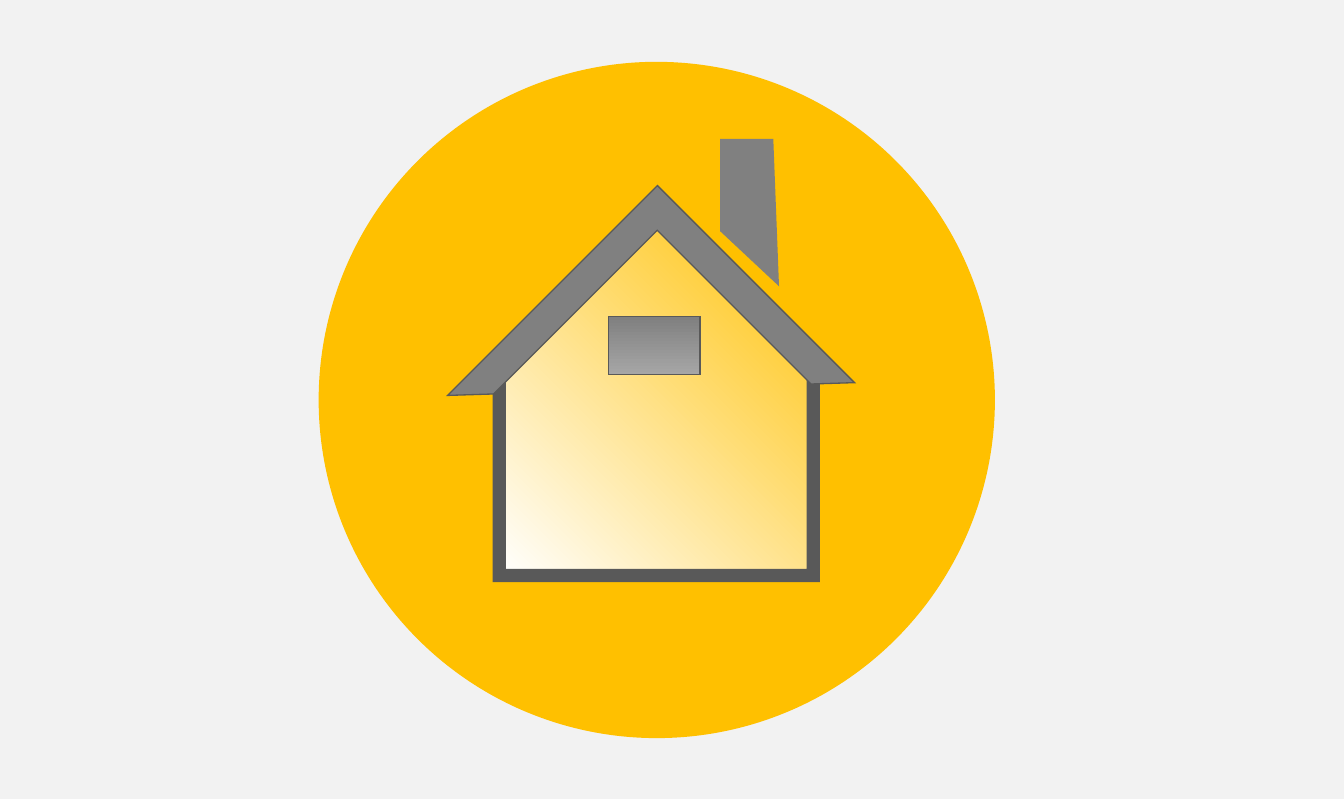
from lxml import etree
from pptx import Presentation
from pptx import util as u
from pptx.dml import color
from pptx.enum import shapes
from pptx.oxml import ns

KIND = shapes.MSO_SHAPE


def rgb(code):
    return color.RGBColor.from_string(code)


def style(shape, fill=None, line=None, width=1):
    shape.shadow.inherit = False
    if fill:
        shape.fill.solid()
        shape.fill.fore_color.rgb = rgb(fill)
    if line:
        shape.line.color.rgb = rgb(line)
        shape.line.width = u.Pt(width)
        edge = shape.line._get_or_add_ln()
        etree.SubElement(edge, ns.qn("a:miter"), lim="800000")
    else:
        shape.line.fill.background()


def blend(shape, start, end, angle=270):
    shape.fill.gradient()
    shape.fill.gradient_angle = angle
    for stop, code in zip(shape.fill.gradient_stops, (start, end)):
        stop.color.rgb = rgb(code)


def glow(shape):
    """Turn a linear gradient into a circular one from the lower left."""
    grad = shape._element.spPr.find(ns.qn("a:gradFill"))
    grad.remove(grad.find(ns.qn("a:lin")))
    ring = etree.SubElement(grad, ns.qn("a:path"))
    ring.set("path", "circle")
    etree.SubElement(ring, ns.qn("a:fillToRect"), t="100000", r="100000")


def add(group, kind, left, top, width, height):
    return group.shapes.add_shape(kind, *map(u.Inches, (left, top, width, height)))


def outline(group, points):
    """Draw a closed shape; the pen keeps whole units, so use EMU."""
    dots = [(u.Inches(x), u.Inches(y)) for x, y in points]
    pen = group.shapes.build_freeform(*dots[0])
    pen.add_line_segments(dots[1:], close=True)
    return pen.convert_to_shape()


def walls(group, left, top, width, height):
    mid, right, base = left + width / 2, left + width, top + height
    eave = top + width / 2
    house = outline(group, [(left, eave), (mid, top), (right, eave),
                            (right, base), (left, base)])
    style(house, line="595959", width=10)
    blend(house, "FFFFFF", "FFC000")
    glow(house)


def chimney(group, left, top, width, height):
    stack = outline(group, [(left, top), (left + 0.56, top),
                            (left + width, top + height), (left, top + 0.97)])
    style(stack, "808080")


def window(group, left, top, width, height):
    pane = add(group, KIND.RECTANGLE, left, top, width, height)
    style(pane, line="595959")
    blend(pane, "808080", "A6A6A6")


def roof(group, left, top, width, height):
    frame = add(group, KIND.HALF_FRAME, left, top, width, height)
    frame.adjustments[0], frame.adjustments[1] = 0.114, 0.113
    frame.rotation = 45
    style(frame, "808080", "595959")


def badge(slide, left, top, size):
    group = slide.shapes.add_group_shape()
    disc = add(group, KIND.ROUNDED_RECTANGLE, left, top, size, size)
    disc.adjustments[0] = 0.5
    style(disc, "FFC000")
    walls(group, left + 1.9, top + 1.48, 3.3, 3.92)
    chimney(group, left + 4.22, top + 0.81, 0.62, 1.55)
    window(group, left + 3.05, top + 2.68, 0.96, 0.61)
    roof(group, left + 2.03, top + 1.88, 2.93, 3.12)


def main():
    deck = Presentation()
    deck.slide_width, deck.slide_height = u.Inches(14.13), u.Inches(8.4)
    slide = deck.slides.add_slide(deck.slide_layouts[6])
    slide.background.fill.solid()
    slide.background.fill.fore_color.rgb = rgb("F2F2F2")
    badge(slide, 3.35, 0.65, 7.11)
    deck.save("out.pptx")


if __name__ == "__main__":
    main()
